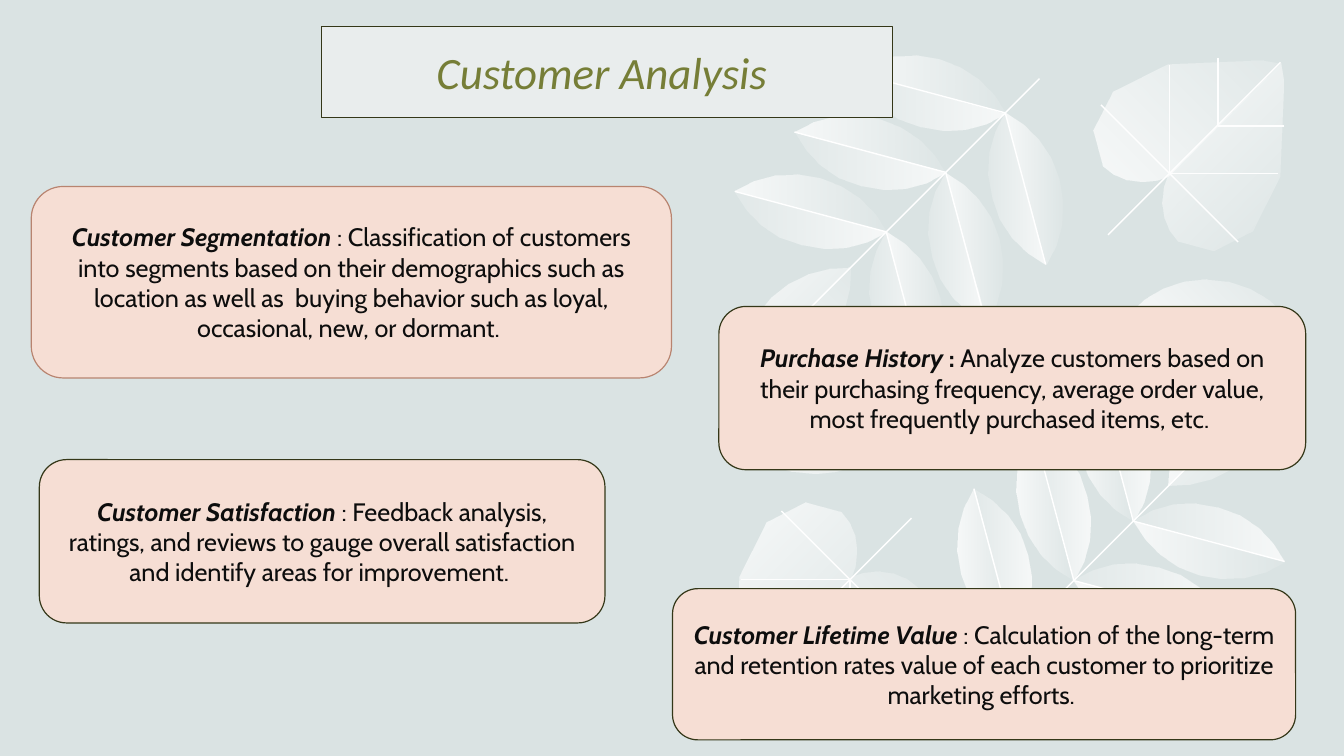
from dataclasses import dataclass

from lxml.etree import SubElement
from pptx import Presentation
from pptx.dml.color import RGBColor
from pptx.enum.shapes import MSO_CONNECTOR, MSO_SHAPE
from pptx.enum.text import MSO_ANCHOR, MSO_AUTO_SIZE, PP_ALIGN
from pptx.oxml.ns import qn
from pptx.util import Inches, Pt

COLORS = {
    "background": "DAE3E3", "white": "FFFFFF", "card": "F6DED4", "rose": "B88470",
    "olive": "343718", "ink": "0D0D0D", "title_fill": "E9EDED", "title": "767E37",
}
FRAME_FORMAT = {"word_wrap": True, "auto_size": MSO_AUTO_SIZE.NONE,
                "vertical_anchor": MSO_ANCHOR.MIDDLE}
CARD_FONT = {"name": "Cabin", "size": Pt(18)}
TITLE_FONT = {"name": "Calibri", "size": Pt(32), "bold": False, "italic": True}

Point = tuple[float, float]


@dataclass(frozen=True)
class Petal:
    """Outline of one leaf half: cubic curves, then straight corners."""
    curve: tuple[Point, ...]
    end_opacity: int
    angle: int
    corners: tuple[Point, ...] = ()


@dataclass(frozen=True)
class Card:
    box: tuple[float, float, float, float]
    heading: str
    body: str
    colon: str = ""
    line: str = "olive"


# Leaf halves, measured from the point where they meet the stem
LEAF_LOWER = Petal(((0, 0), (.13, .25), (.36, .45), (.66, .53),
                    (.96, .61), (1.26, .56), (1.5, .4)), 10, 0)
LEAF_UPPER = Petal(((0, 0), (.24, -.16), (.54, -.22), (.84, -.13),
                    (1.14, -.07), (1.37, .15), (1.5, .4)), 20, 180)
TIP_CURVE = ((0, 0), (.29, .01), (.58, -.09), (.79, -.3),
             (1.02, -.52), (1.12, -.82), (1.1, -1.1))
LOBE_CURVE = ((-.11, .04), (-.34, .09), (-.52, .03), (-.65, -.1),
              (-.95, -.5), (-.61, -1.3), (.93, -1.14))
LOBE_CORNERS = ((1.11, -1.11), (0, 0))
TIP_LOWER, TIP_UPPER = Petal(TIP_CURVE, 10, 45), Petal(TIP_CURVE, 20, 315)
LOBE_LEFT = Petal(LOBE_CURVE, 20, 315, LOBE_CORNERS)
LOBE_RIGHT = Petal(LOBE_CURVE, 10, 45, LOBE_CORNERS)
HALF_LEAF = Petal(((0, 0), (.19, -.22), (.47, -.35), (.77, -.35),
                   (1.08, -.35), (1.36, -.22), (1.55, 0)), 20, 315)

LEAF_TIP = (1.5, .4)
SPRAY_NODES = [(11.24 - .59 * i, 5.17 + .59 * i) for i in range(3)]
SPRAY_TIP, HEART_NODE, HALF_LEAF_START = (11.59, 4.82), (11.59, 1.74), (11.19, 3.12)
STEM = ((9.72, 6.69), (12.69, 3.72))
HEART_VEINS = [((12.7, .62), (10.99, 2.33)), ((10.92, 1.04), (12.28, 2.4))]
HEART_ANGLE = ((12.68, 1.72), (11.6, 1.72), (11.6, .64))
SMALL_ANGLE = ((12.74, 1.25), (12.08, 1.25), (12.08, .58))

CARDS = [
    Card((.31, 1.85, 6.35, 1.9), "Customer Segmentation ",
         ": Classification of customers into segments based on their demographics such as "
         "location as well as  buying behavior such as loyal, occasional, new, or dormant. ",
         line="rose"),
    Card((7.13, 3.04, 5.82, 1.62), "Purchase History ",
         " Analyze customers based on their purchasing frequency, average order value, "
         "most frequently purchased items, etc. ", colon=":"),
    Card((.39, 4.56, 5.61, 1.62), "Customer Satisfaction ",
         ": Feedback analysis, ratings, and reviews to gauge overall satisfaction and "
         "identify areas for improvement. "),
    Card((6.67, 5.84, 6.18, 1.5), "Customer Lifetime Value ",
         ": Calculation of the long-term and retention rates value of each customer to "
         "prioritize marketing efforts. "),
]


def rgb(name: str) -> RGBColor:
    return RGBColor.from_string(COLORS[name])


def apply(target, values: dict) -> None:
    for key, value in values.items():
        setattr(target, key, value)


def flip(pt: Point) -> Point:
    """Reflect an offset across the rising diagonal."""
    return -pt[1], -pt[0]


def turn(pt: Point, turned: bool) -> Point:
    """Half turn about the centre shared by the two groups of leaves."""
    return (20.03 - pt[0], 7.47 - pt[1]) if turned else pt


def sample(curve: tuple[Point, ...], steps: int = 4) -> list[Point]:
    pts = [curve[0]]
    for i in range(0, len(curve) - 1, 3):
        for n in range(1, steps + 1):
            t = n / steps
            weights = ((1 - t) ** 3, 3 * t * (1 - t) ** 2, 3 * t * t * (1 - t), t ** 3)
            pts.append(tuple(sum(w * c[axis] for w, c in zip(weights, curve[i:i + 4]))
                             for axis in (0, 1)))
    return pts


def add_outline(s, pts, close: bool):
    pts = [(Inches(x), Inches(y)) for x, y in pts]
    builder = s.shapes.build_freeform(*pts[0])
    builder.add_line_segments(pts[1:], close=close)
    sp = builder.convert_to_shape()
    sp.shadow.inherit = False
    return sp


def add_petal(s, petal: Petal, origin: Point, flipped: bool, turned: bool) -> None:
    pts = [flip(pt) if flipped else pt for pt in sample(petal.curve) + list(petal.corners)]
    sp = add_outline(s, [turn((origin[0] + x, origin[1] + y), turned) for x, y in pts], True)
    sp.line.fill.background()
    sp.fill.gradient()
    grad = sp.element.spPr.find(qn("a:gradFill"))
    for child in list(grad):
        grad.remove(child)
    stops = SubElement(grad, qn("a:gsLst"))
    for pos, opacity in ((0, 80), (100, petal.end_opacity)):
        stop = SubElement(stops, qn("a:gs"), pos=str(pos * 1000))
        color = SubElement(stop, qn("a:srgbClr"), val=COLORS["white"])
        SubElement(color, qn("a:alpha"), val=str(opacity * 1000))
    SubElement(grad, qn("a:lin"), ang=str(petal.angle * 60000), scaled="0")


def add_vein(s, start: Point, end: Point, turned: bool) -> None:
    ends = [Inches(v) for pt in (start, end) for v in turn(pt, turned)]
    line = s.shapes.add_connector(MSO_CONNECTOR.STRAIGHT, *ends)
    line.line.width = Pt(1)
    line.line.color.rgb = rgb("white")
    SubElement(line.element.spPr, qn("a:effectLst"))


def add_angle(s, pts: tuple[Point, ...], turned: bool) -> None:
    sp = add_outline(s, [turn(pt, turned) for pt in pts], False)
    sp.fill.background()
    sp.line.color.rgb = rgb("white")
    sp.line.width = Pt(1)


def add_leaves(s, turned: bool) -> None:
    # Spray of paired leaves; the lower group has one leaf fewer
    leaves = [(node, flipped) for node in SPRAY_NODES for flipped in (False, True)]
    if not turned:
        leaves.remove((SPRAY_NODES[-1], False))
    for petal in (LEAF_LOWER, LEAF_UPPER):
        for node, flipped in leaves:
            add_petal(s, petal, node, flipped, turned)
    add_petal(s, TIP_LOWER, SPRAY_TIP, False, turned)
    add_petal(s, TIP_UPPER, SPRAY_TIP, True, turned)
    for (x, y), flipped in leaves:
        dx, dy = flip(LEAF_TIP) if flipped else LEAF_TIP
        add_vein(s, (x, y), (x + dx, y + dy), turned)
    add_vein(s, *STEM, turned)
    # Heart-shaped leaf
    for vein in HEART_VEINS:
        add_vein(s, *vein, turned)
    for angle in (HEART_ANGLE,) if turned else (HEART_ANGLE, SMALL_ANGLE):
        add_angle(s, angle, turned)
    add_petal(s, LOBE_LEFT, HEART_NODE, False, turned)
    add_petal(s, LOBE_RIGHT, HEART_NODE, True, turned)
    add_petal(s, HALF_LEAF, HALF_LEAF_START, False, turned)


def style_box(sp, fill: str, line: str, font: dict, color: str, runs) -> None:
    sp.fill.solid()
    sp.fill.fore_color.rgb = rgb(fill)
    sp.line.color.rgb = rgb(line)
    sp.line.width = Pt(.85)
    tf = sp.text_frame
    apply(tf, FRAME_FORMAT)
    p = tf.paragraphs[0]
    p.alignment = PP_ALIGN.CENTER
    for text, extra in runs:
        r = p.add_run()
        r.text = text
        apply(r.font, font | extra)
        r.font.color.rgb = rgb(color)


def add_card(s, card: Card) -> None:
    sp = s.shapes.add_shape(MSO_SHAPE.ROUNDED_RECTANGLE, *map(Inches, card.box))
    sp.shadow.inherit = False
    runs = [(card.heading, {"bold": True, "italic": True}),
            (card.colon, {"bold": True, "italic": False}),
            (card.body, {"bold": False, "italic": False})]
    style_box(sp, "card", card.line, CARD_FONT, "ink", [run for run in runs if run[0]])


def main() -> None:
    prs = Presentation()
    apply(prs, {"slide_width": Inches(13.33), "slide_height": Inches(7.5)})
    s = prs.slides.add_slide(prs.slide_layouts[5])
    s.background.fill.solid()
    s.background.fill.fore_color.rgb = rgb("background")
    # Leaves, then cards
    for turned in (False, True):
        add_leaves(s, turned)
    for card in CARDS:
        add_card(s, card)
    # Title, brought to the front
    title = s.shapes.title
    apply(title, {"left": Inches(3.19), "top": Inches(.26),
                  "width": Inches(5.66), "height": Inches(.91)})
    style_box(title, "title_fill", "olive", TITLE_FONT, "title", [("Customer Analysis ", {})])
    s.shapes.element.append(title.element)
    prs.save("out.pptx")


if __name__ == "__main__":
    main()
